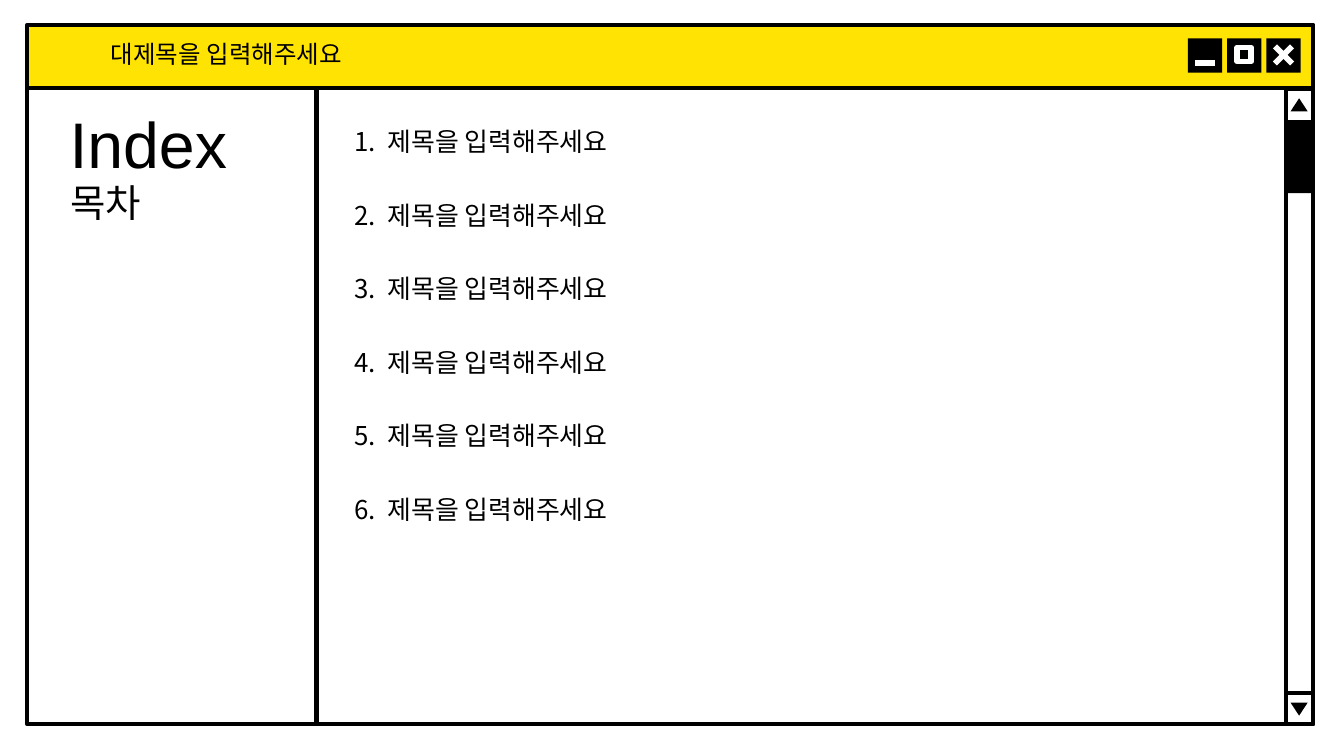
from lxml.etree import SubElement
from pptx import Presentation
from pptx.dml.color import RGBColor
from pptx.enum.shapes import MSO_CONNECTOR, MSO_SHAPE
from pptx.enum.text import MSO_ANCHOR, MSO_AUTO_SIZE, PP_ALIGN
from pptx.oxml.ns import qn
from pptx.util import Inches, Pt

COLORS = {"ink": "000000", "bar": "FFE302", "paper": "FFFFFF"}
HANGUL = "Noto Sans CJK KR"
WIDE, HIGH = 26.67, 15  # grid of one-inch columns and rows

deck = Presentation()
deck.slide_width, deck.slide_height = Inches(WIDE), Inches(HIGH)
slide = deck.slides.add_slide(deck.slide_layouts[5])
shapes = slide.shapes


def paint(shape, fill=None, line=None, weight=6):
    """Fill and outline a shape, and drop its shadow."""
    shape.shadow.inherit = False
    for part, name in ((shape.fill, fill), (shape.line.fill, line)):
        if name:
            part.solid()
            part.fore_color.rgb = RGBColor.from_string(COLORS[name])
        else:
            part.background()
    if line:
        shape.line.width = Pt(weight)


def write(box, words, at, size, font="Arial", wrap=True, space=0.6):
    """Place a text holder and set its words and format."""
    for name, value in zip(("left", "top", "width", "height"), at):
        setattr(box, name, Inches(value))
    frame = box.text_frame
    frame.text = words
    para = frame.paragraphs[0]
    pad = Inches(0.06)
    looks = (
        (frame, {"word_wrap": wrap, "vertical_anchor": MSO_ANCHOR.MIDDLE,
                 "auto_size": MSO_AUTO_SIZE.NONE if wrap
                 else MSO_AUTO_SIZE.SHAPE_TO_FIT_TEXT,
                 "margin_left": pad, "margin_right": pad,
                 "margin_top": pad, "margin_bottom": pad}),
        (para, {"alignment": PP_ALIGN.LEFT, "line_spacing": space,
                "space_before": Pt(32)}),
        (para.runs[0].font, {"size": Pt(size), "name": font}),
    )
    for item, look in looks:
        for name, value in look.items():
            setattr(item, name, value)
    face = para.runs[0].font
    face.color.rgb = RGBColor.from_string(COLORS["ink"])
    SubElement(face._element, qn("a:ea"), typeface=HANGUL)


# Side panel: title and subtitle
write(shapes.title, "Index", (1.32, 2.37, 3.32, 1.39), 92, wrap=False)
write(shapes.add_textbox(0, 0, 0, 0), "목차", (1.34, 3.72, 1.65, 0.88), 55,
      wrap=False)

# Index list: a number column and a heading column
for row in range(6):
    top = 2.2 + row * 1.458
    for words, left, width in ((f"{row + 1}.", 6.97, 0.8),
                               ("제목을 입력해주세요", 7.63, 5.98)):
        write(shapes.add_textbox(0, 0, 0, 0), words, (left, top, width, 1.4),
              37, HANGUL)

# Window frame, title bar, scroll bar, buttons and scroll thumb
keys = [24.35 + step * 0.78 for step in (-1, 0, 1)]
rects = [
    ((0.53, 0.53, 25.53, 13.83), None, "ink", 6),
    ((0.54, 0.49, 25.52, 1.25), "bar", "ink", 6),
    ((25.52, 1.76, 0.54, 12.61), None, "ink", 6),
    *(((left, 0.76, 0.68, 0.68), "ink", None, 0) for left in keys),
    ((keys[1] + 0.2, 0.94, 0.28, 0.28), "ink", "paper", 8),
    ((25.53, 2.44, 0.54, 1.39), "ink", None, 0),
]
for at, fill, line, weight in rects:
    rect = shapes.add_shape(MSO_SHAPE.RECTANGLE, *map(Inches, at))
    paint(rect, fill, line, weight)

write(shapes.add_textbox(0, 0, 0, 0), "대제목을 입력해주세요",
      (2.14, 0.78, 6.01, 0.73), 35, space=0.7)

# Divider, minimise bar, close cross and scroll bar rules
lines = (
    ((6.28, 14.36, 6.28, 1.73), "ink", 8),
    ((23.71, 1.25, 24.11, 1.25), "paper", 8),
    ((25.3, 1.26, 25.64, 0.92), "paper", 8),
    ((25.64, 1.26, 25.3, 0.92), "paper", 8),
    ((25.53, 2.42, 26.07, 2.42), "ink", 6),
    ((25.55, 13.75, 26.03, 13.75), "ink", 6),
)
for ends, color, weight in lines:
    rule = shapes.add_connector(MSO_CONNECTOR.STRAIGHT, *map(Inches, ends))
    rule.line.color.rgb = RGBColor.from_string(COLORS[color])
    rule.line.width = Pt(weight)
    SubElement(rule._element.spPr, qn("a:effectLst"))

# Scroll arrows, up and down
for tip, base in ((1.95, 2.21), (14.2, 13.94)):
    pen = shapes.build_freeform(Inches(25.78), Inches(tip))
    pen.add_line_segments([(Inches(x), Inches(base)) for x in (25.95, 25.61)])
    paint(pen.convert_to_shape(), "ink")

deck.save("out.pptx")
